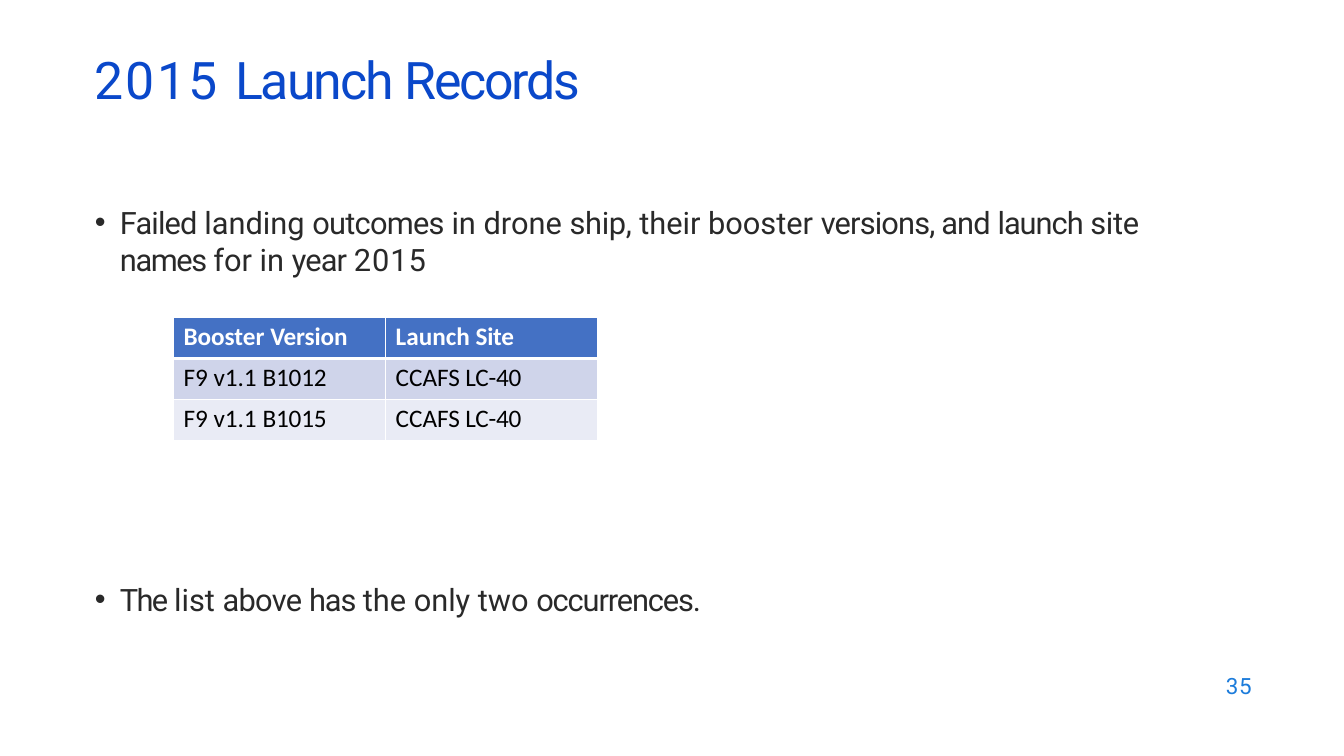
from lxml.etree import SubElement
from pptx import Presentation
from pptx.dml.color import RGBColor
from pptx.oxml.ns import qn
from pptx.util import Inches, Pt

BLUE = RGBColor(0x0A, 0x48, 0xCA)
PAGE_BLUE = RGBColor(0x1C, 0x7C, 0xDB)
INK = RGBColor(0x29, 0x29, 0x29)
WHITE = RGBColor(0xFF, 0xFF, 0xFF)
BLACK = RGBColor(0x00, 0x00, 0x00)
HEADER_FILL = RGBColor(0x44, 0x71, 0xC4)
ROW_FILLS = [RGBColor(0xCF, 0xD4, 0xEA), RGBColor(0xE9, 0xEB, 0xF5)]

TITLE = [("2015 ", 1.6), ("Launch ", -1.4), ("Records", -1.6)]
OUTCOMES = [
    ("Failed ", -0.6), ("landing ", 0), ("outcomes ", -0.5), ("in drone ", 0),
    ("ship, ", -0.2), ("their booster ", 0), ("versions, and ", -0.6),
    ("launch ", -0.7), ("site ", -0.2), ("names ", -1), ("for in ", 0),
    ("year ", -0.6), ("2015", 0.7),
]
OCCURRENCES = [
    ("The ", -1.2), ("list ", 0), ("above ", -0.5), ("has ", -0.8),
    ("the only two ", 0), ("occurrences.", -0.8),
]
LAUNCH_SITE = [("CCAFS", 0), (" LC-40", -0.2)]
LAUNCHES = [
    [[("Booster ", 0), ("Version", -0.1)], [("Launch ", 0), ("Site", -0.2)]],
    [[("F9 v1.1 ", 0), ("B1012", -0.1)], LAUNCH_SITE],
    [[("F9 v1.1 ", 0), ("B1015", -0.1)], LAUNCH_SITE],
]


def write_spans(para, spans, font_name, size, color, bold=False):
    for text, spacing in spans:
        span = para.add_run()
        span.text = text
        span.font.name = font_name
        span.font.size = Pt(size)
        span.font.color.rgb = color
        span.font.bold = bold
        span.font._element.set("spc", str(round(spacing * 100)))


def add_text(page, left, top, width, height, spans, size, color, inset=0.01):
    box = page.shapes.add_textbox(
        Inches(left), Inches(top), Inches(width), Inches(height))
    frame = box.text_frame
    frame.word_wrap = True
    frame.margin_left = frame.margin_right = frame.margin_bottom = 0
    frame.margin_top = Inches(inset)
    para = frame.paragraphs[0]
    write_spans(para, spans, "Roboto", size, color)
    return para


def add_bullet(page, top, width, height, spans):
    para = add_text(page, 0.93, top, width, height, spans, 22, INK)
    props = para._p.get_or_add_pPr()
    props.set("marL", str(Inches(0.26)))
    props.set("indent", str(Inches(-0.25)))
    SubElement(props, qn("a:buFont"), typeface="Arial")
    SubElement(props, qn("a:buChar"), char="•")
    tabs = SubElement(props, qn("a:tabLst"))
    SubElement(tabs, qn("a:tab"), pos=str(Inches(0.26)), algn="l")


def add_borders(cell, top, bottom):
    props = cell._tc.get_or_add_tcPr()
    for side, width in (("L", 1), ("R", 1), ("T", top), ("B", bottom)):
        line = SubElement(props, qn(f"a:ln{side}"), w=str(Pt(width)))
        fill = SubElement(line, qn("a:solidFill"))
        SubElement(fill, qn("a:srgbClr"), val=str(WHITE))


def format_cell(cell, spans, row):
    header = row == 0
    add_borders(cell, 3 if row == 1 else 1, 3 if header else 1)
    cell.fill.solid()
    cell.fill.fore_color.rgb = HEADER_FILL if header else ROW_FILLS[row - 1]
    cell.margin_left = Inches(0.1)
    cell.margin_right = cell.margin_bottom = 0
    cell.margin_top = Inches(0.04)
    write_spans(cell.text_frame.paragraphs[0], spans, "Calibri", 18,
                WHITE if header else BLACK, header)


def add_launch_table(page):
    table = page.shapes.add_table(
        len(LAUNCHES), 2, Inches(1.72), Inches(3.15),
        Inches(4.21), Inches(1.22)).table
    for row, launch in enumerate(LAUNCHES):
        for column, spans in enumerate(launch):
            format_cell(table.cell(row, column), spans, row)


def main():
    deck = Presentation()
    deck.slide_width = Inches(13.33)
    deck.slide_height = Inches(7.5)
    page = deck.slides.add_slide(deck.slide_layouts[6])
    add_text(page, 0.94, 0.46, 10.84, 0.81, TITLE, 37, BLUE)
    add_bullet(page, 2.01, 10.41, 0.76, OUTCOMES)
    add_launch_table(page)
    add_bullet(page, 5.75, 6.05, 0.76, OCCURRENCES)
    number = add_text(page, 12.16, 6.68, 0.33, 0.28, [("35", 0.5)], 16,
                      PAGE_BLUE, inset=0)
    number.line_spacing = Pt(18.4)
    deck.save("out.pptx")


if __name__ == "__main__":
    main()
